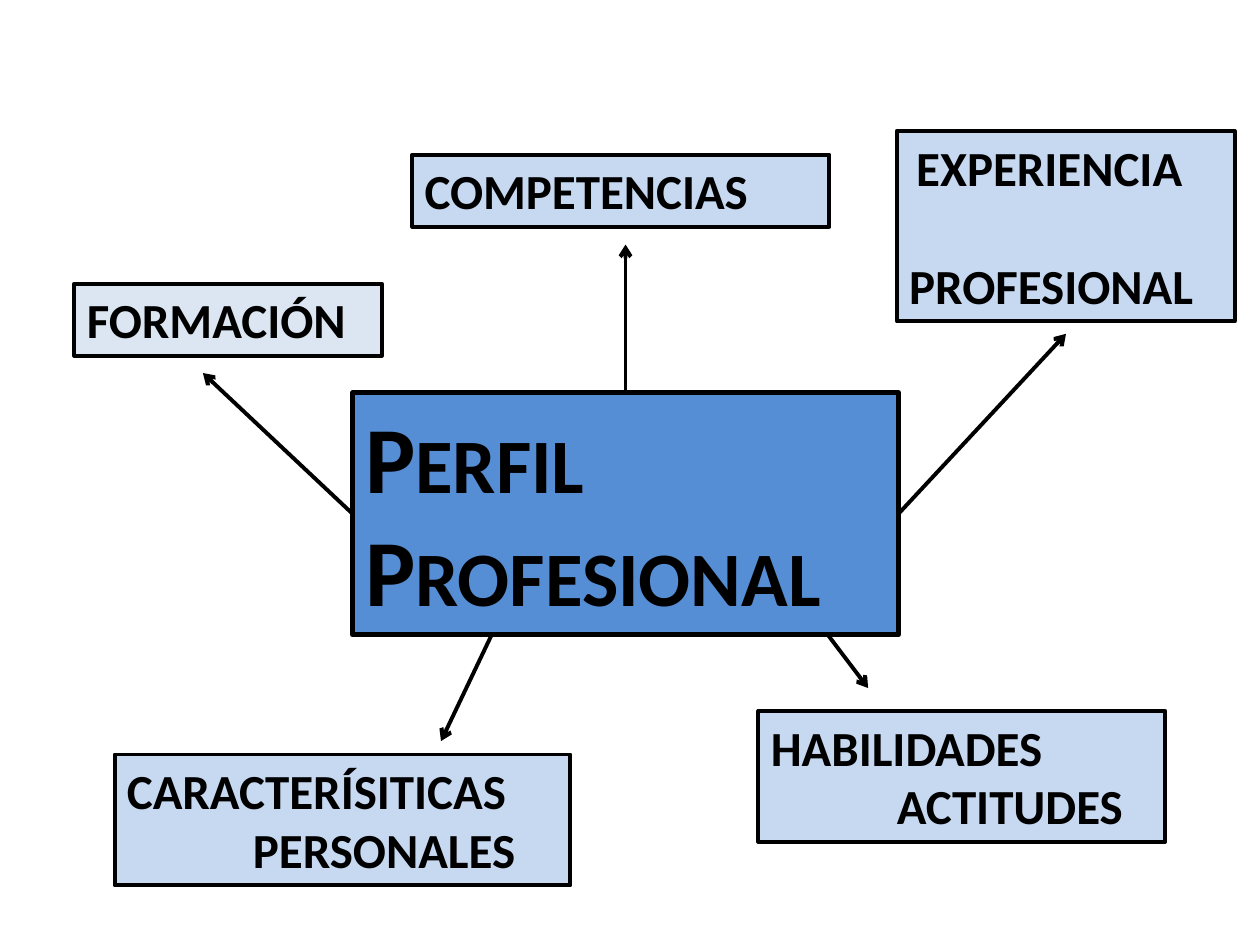
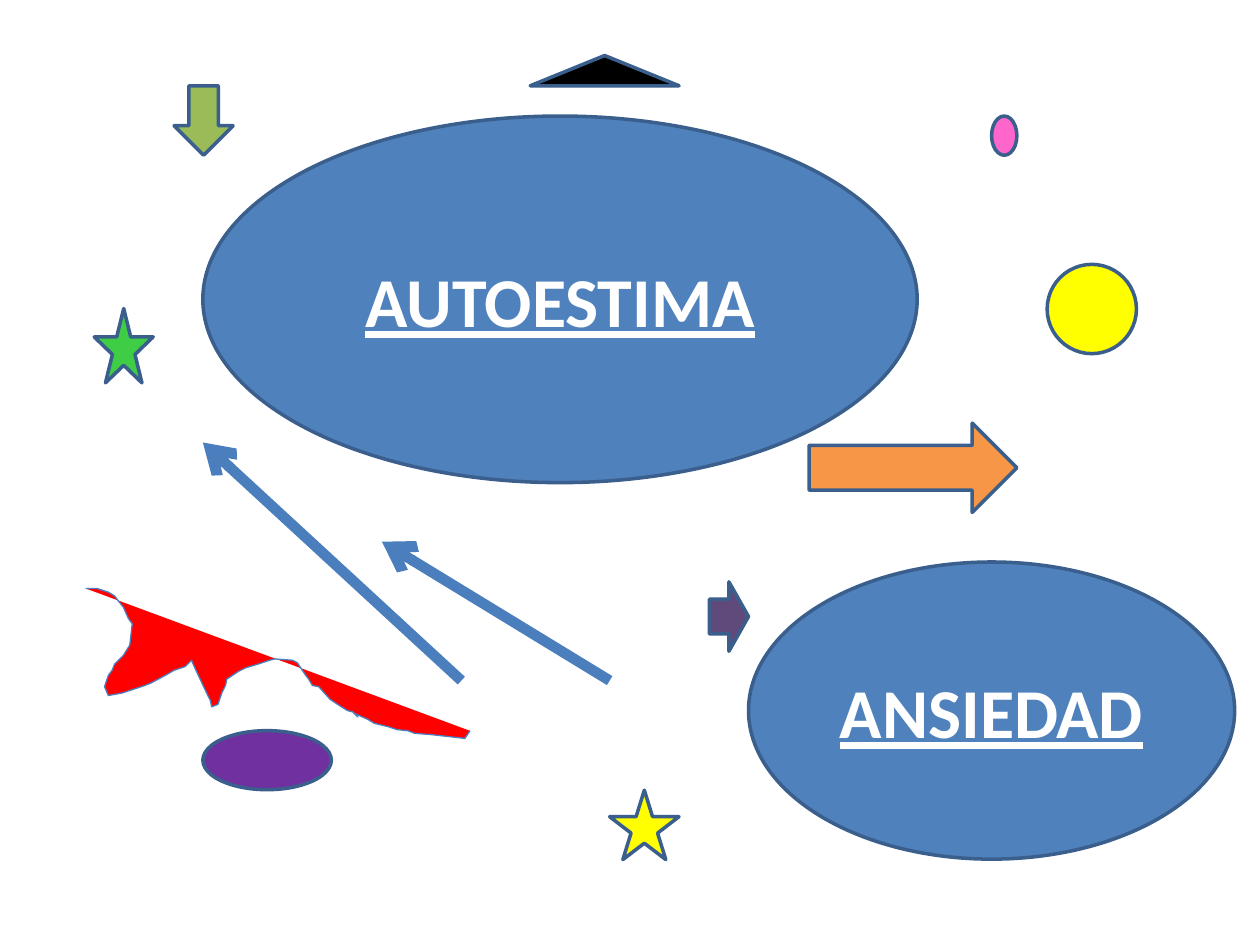
"""Builds two slides: a professional profile map, and self-esteem against anxiety."""
from dataclasses import dataclass
from typing import NamedTuple, Optional

from lxml.etree import SubElement
from pptx import Presentation
from pptx.dml.color import RGBColor
from pptx.enum.shapes import MSO_CONNECTOR, MSO_SHAPE
from pptx.enum.text import MSO_ANCHOR, PP_ALIGN
from pptx.oxml.ns import qn
from pptx.shapes.autoshape import Shape
from pptx.slide import Slide
from pptx.util import Cm, Pt

FONT = "Calibri"
BLACK, WHITE, YELLOW = "000000", "FFFFFF", "FFFF00"
SKY, PALE_SKY, PROFILE_BLUE = "C6D9F1", "DCE6F2", "558ED5"
OVAL_BLUE, OUTLINE, STROKE = "4F81BD", "3A5F8C", "4B7EBC"
TOP, LEFT, RIGHT = 0, 1, 3


class Box(NamedTuple):
    left: float
    top: float
    width: float
    height: float


class Point(NamedTuple):
    x: float
    y: float


class Piece(NamedTuple):
    text: str
    size: int = 28


@dataclass(frozen=True)
class Line:
    pieces: tuple[Piece, ...]
    indent: float = 0
    space_before: int = 0


@dataclass(frozen=True)
class Label:
    box: Box
    lines: tuple[Line, ...]
    fill: str = SKY
    border: float = 2.25


@dataclass(frozen=True)
class Figure:
    preset: MSO_SHAPE
    box: Box
    fill: str
    word: str = ""


@dataclass(frozen=True)
class Arrow:
    start: Point
    end: Point
    side: Optional[int] = None


PROFILE = Label(
    Box(7.11, 7.92, 11, 4.88),
    (Line((Piece("P", 54), Piece("ERFIL", 44))),
     Line((Piece("P", 54), Piece("ROFESIONAL", 44)))),
    PROFILE_BLUE, 3)

TOPICS = (
    Label(Box(8.31, 3.12, 8.41, 1.45), (Line((Piece("COMPETENCIAS"),)),)),
    Label(Box(1.5, 5.72, 6.2, 1.45), (Line((Piece("FORMACIÓN"),)),), PALE_SKY),
    Label(Box(18.08, 2.64, 6.81, 3.84),
          (Line((Piece("EXPERIENCIA"),), indent=0.14),
           Line((Piece("PROFESIONAL"),), space_before=34))),
    Label(Box(15.29, 14.33, 8.2, 2.64),
          (Line((Piece("HABILIDADES"),)), Line((Piece("ACTITUDES"),), indent=2.54))),
    Label(Box(2.31, 15.21, 9.19, 2.64),
          (Line((Piece("CARACTERÍSITICAS"),)), Line((Piece("PERSONALES"),), indent=2.54))),
)

TOPIC_ARROWS = (
    Arrow(Point(12.61, 7.92), Point(12.61, 4.93), TOP),
    Arrow(Point(18.11, 10.36), Point(21.49, 6.73), RIGHT),
    Arrow(Point(7.11, 10.36), Point(4.09, 7.52), LEFT),
    Arrow(Point(9.91, 12.8), Point(8.89, 14.94)),
    Arrow(Point(16.69, 12.8), Point(17.5, 13.87)),
)

FIGURES = (
    Figure(MSO_SHAPE.OVAL, Box(4.09, 2.34, 14.4, 7.39), OVAL_BLUE, "AUTOESTIMA"),
    Figure(MSO_SHAPE.OVAL, Box(15.09, 11.33, 9.8, 5.99), OVAL_BLUE, "ANSIEDAD"),
    Figure(MSO_SHAPE.OVAL, Box(19.99, 2.34, 0.51, 0.79), "FF66CC"),
    Figure(MSO_SHAPE.OVAL, Box(21.11, 5.33, 1.8, 1.8), YELLOW),
    Figure(MSO_SHAPE.DOWN_ARROW, Box(3.51, 1.73, 1.19, 1.4), "9BBB59"),
    Figure(MSO_SHAPE.RIGHT_ARROW, Box(16.31, 8.53, 4.19, 1.8), "F79646"),
    Figure(MSO_SHAPE.RIGHT_ARROW, Box(14.3, 11.73, 0.79, 1.4), "604A7B"),
    Figure(MSO_SHAPE.OVAL, Box(4.09, 14.73, 2.59, 1.19), "7030A0"),
    Figure(MSO_SHAPE.STAR_5_POINT, Box(1.9, 6.22, 1.19, 1.5), "3FCD46"),
    Figure(MSO_SHAPE.STAR_5_POINT, Box(12.29, 15.93, 1.4, 1.4), YELLOW),
    Figure(MSO_SHAPE.ISOSCELES_TRIANGLE, Box(10.69, 1.12, 3, 0.61), BLACK),
)

RISING_ARROWS = (
    Arrow(Point(12.29, 13.72), Point(7.7, 10.92)),
    Arrow(Point(9.3, 13.72), Point(4.09, 8.92)),
)

SCRIBBLE_UNIT = Cm(0.0254)
SCRIBBLE = (
    (68, 467), (77, 467), (86, 470), (91, 473), (94, 477), (98, 482), (102, 491),
    (105, 495), (103, 512), (98, 520), (91, 527), (89, 532), (86, 536), (83, 545),
    (86, 552), (97, 550), (106, 547), (115, 544), (120, 542), (133, 535), (138, 532),
    (147, 529), (152, 524), (156, 533), (165, 552), (167, 556), (168, 561), (173, 559),
    (176, 550), (179, 544), (180, 539), (189, 533), (195, 530), (205, 527), (214, 524),
    (218, 523), (232, 524), (236, 526), (242, 535), (245, 539), (248, 544), (253, 545),
    (262, 555), (271, 561), (276, 564), (280, 565), (284, 569), (281, 566), (292, 571),
    (297, 574), (309, 577), (315, 579), (324, 580), (329, 582), (342, 583), (369, 586),
    (373, 580),
)


def rgb(code: str) -> RGBColor:
    """Turns a hex string into a colour."""
    return RGBColor.from_string(code)


def paint(shape: Shape, fill: str, outline: str, weight: float) -> None:
    """Gives a shape a flat fill and outline."""
    shape.shadow.inherit = False
    shape.fill.solid()
    shape.fill.fore_color.rgb = rgb(fill)
    shape.line.color.rgb = rgb(outline)
    shape.line.width = Pt(weight)


def add_preset(slide: Slide, preset: MSO_SHAPE, box: Box) -> Shape:
    """Adds a preset shape inside a box given in centimetres."""
    return slide.shapes.add_shape(preset, *(Cm(length) for length in box))


def add_label(slide: Slide, label: Label) -> Shape:
    """Draws a bordered rectangle with bold lines of text."""
    rectangle = add_preset(slide, MSO_SHAPE.RECTANGLE, label.box)
    paint(rectangle, label.fill, BLACK, label.border)
    frame = rectangle.text_frame
    frame.word_wrap = True
    frame.vertical_anchor = MSO_ANCHOR.TOP
    for index, line in enumerate(label.lines):
        paragraph = frame.add_paragraph() if index else frame.paragraphs[0]
        paragraph.alignment = PP_ALIGN.LEFT
        paragraph.space_before = Pt(line.space_before)
        paragraph._p.get_or_add_pPr().set("marL", str(Cm(line.indent)))
        for piece in line.pieces:
            run = paragraph.add_run()
            run.text = piece.text
            run.font.name, run.font.size, run.font.bold = FONT, Pt(piece.size), True
            run.font.color.rgb = rgb(BLACK)
    return rectangle


def add_figure(slide: Slide, figure: Figure) -> None:
    """Draws a coloured figure, with an underlined word if it has one."""
    shape = add_preset(slide, figure.preset, figure.box)
    paint(shape, figure.fill, OUTLINE, 2)
    if figure.word:
        shape.text_frame.text = figure.word
        shape.text_frame.vertical_anchor = MSO_ANCHOR.MIDDLE
        paragraph = shape.text_frame.paragraphs[0]
        paragraph.alignment = PP_ALIGN.CENTER
        font = paragraph.runs[0].font
        font.name, font.size, font.bold, font.underline = FONT, Pt(40), True, True
        font.color.rgb = rgb(WHITE)


def add_arrow(slide: Slide, arrow: Arrow, color: str, weight: float,
              origin: Optional[Shape] = None) -> None:
    """Draws an open-headed arrow, joined to a side of its origin if it has one."""
    ends = (Cm(length) for length in (*arrow.start, *arrow.end))
    connector = slide.shapes.add_connector(MSO_CONNECTOR.STRAIGHT, *ends)
    if origin is not None and arrow.side is not None:
        connector.begin_connect(origin, arrow.side)
    connector.line.color.rgb = rgb(color)
    connector.line.width = Pt(weight)
    SubElement(connector.line._get_or_add_ln(), qn("a:tailEnd"), type="arrow")
    SubElement(connector._element.spPr, qn("a:effectLst"))


def add_scribble(slide: Slide) -> None:
    """Draws the red open outline."""
    builder = slide.shapes.build_freeform(*SCRIBBLE[0], scale=SCRIBBLE_UNIT)
    builder.add_line_segments(SCRIBBLE[1:], close=False)
    paint(builder.convert_to_shape(), "FF0000", STROKE, 0.75)


def build_profile(slide: Slide) -> None:
    """Fills the slide of the professional profile."""
    profile = add_label(slide, PROFILE)
    for topic in TOPICS:
        add_label(slide, topic)
    for arrow in TOPIC_ARROWS:
        add_arrow(slide, arrow, BLACK, 2.25, profile)


def build_self_esteem(slide: Slide) -> None:
    """Fills the slide of self-esteem and anxiety."""
    for figure in FIGURES:
        add_figure(slide, figure)
    for arrow in RISING_ARROWS:
        add_arrow(slide, arrow, STROKE, 6)
    add_scribble(slide)


def main() -> None:
    """Builds and saves the presentation."""
    deck = Presentation()
    deck.slide_width, deck.slide_height = Cm(25.4), Cm(19.05)
    blank = deck.slide_layouts[6]
    for build in (build_profile, build_self_esteem):
        build(deck.slides.add_slide(blank))
    deck.save("out.pptx")


if __name__ == "__main__":
    main()
